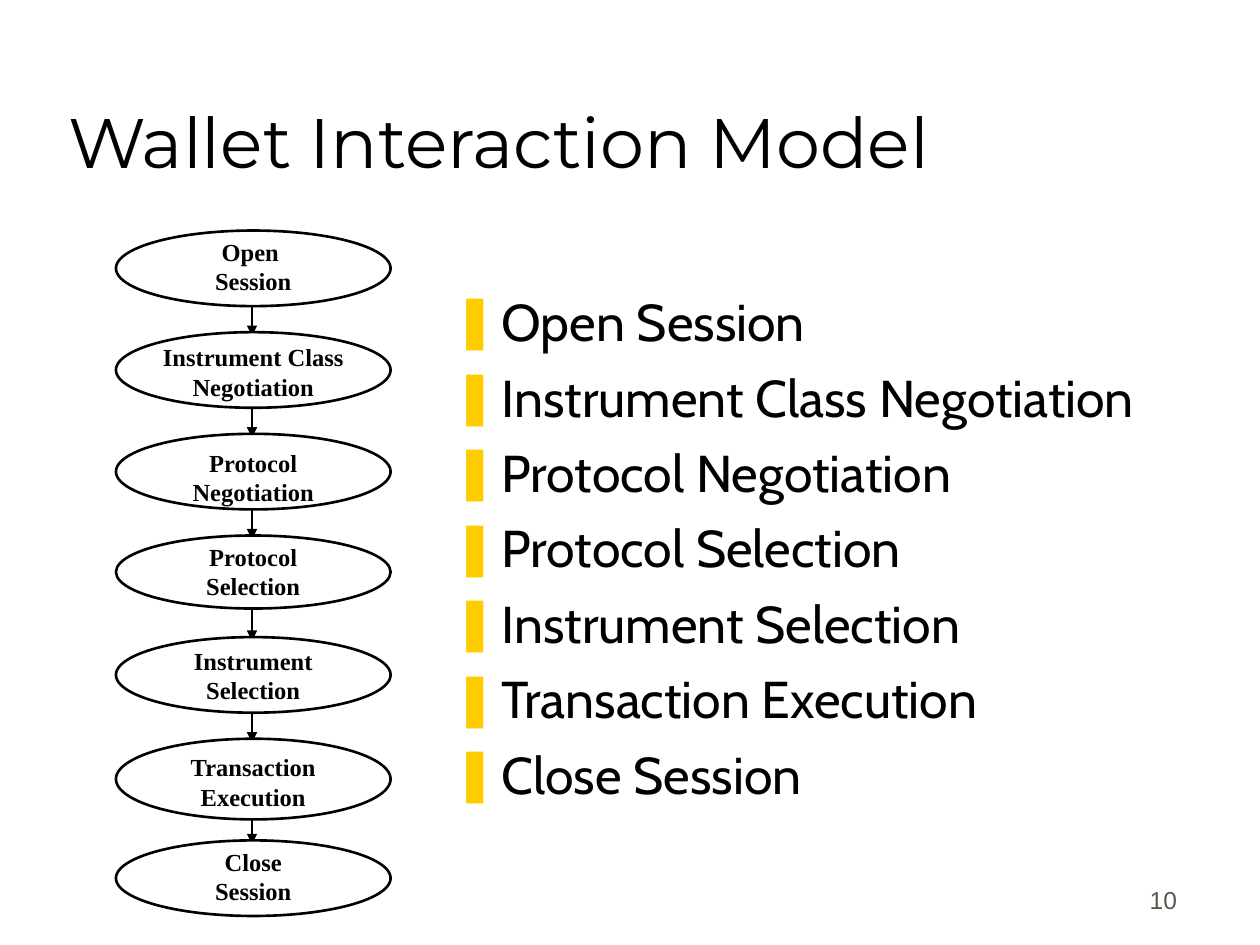
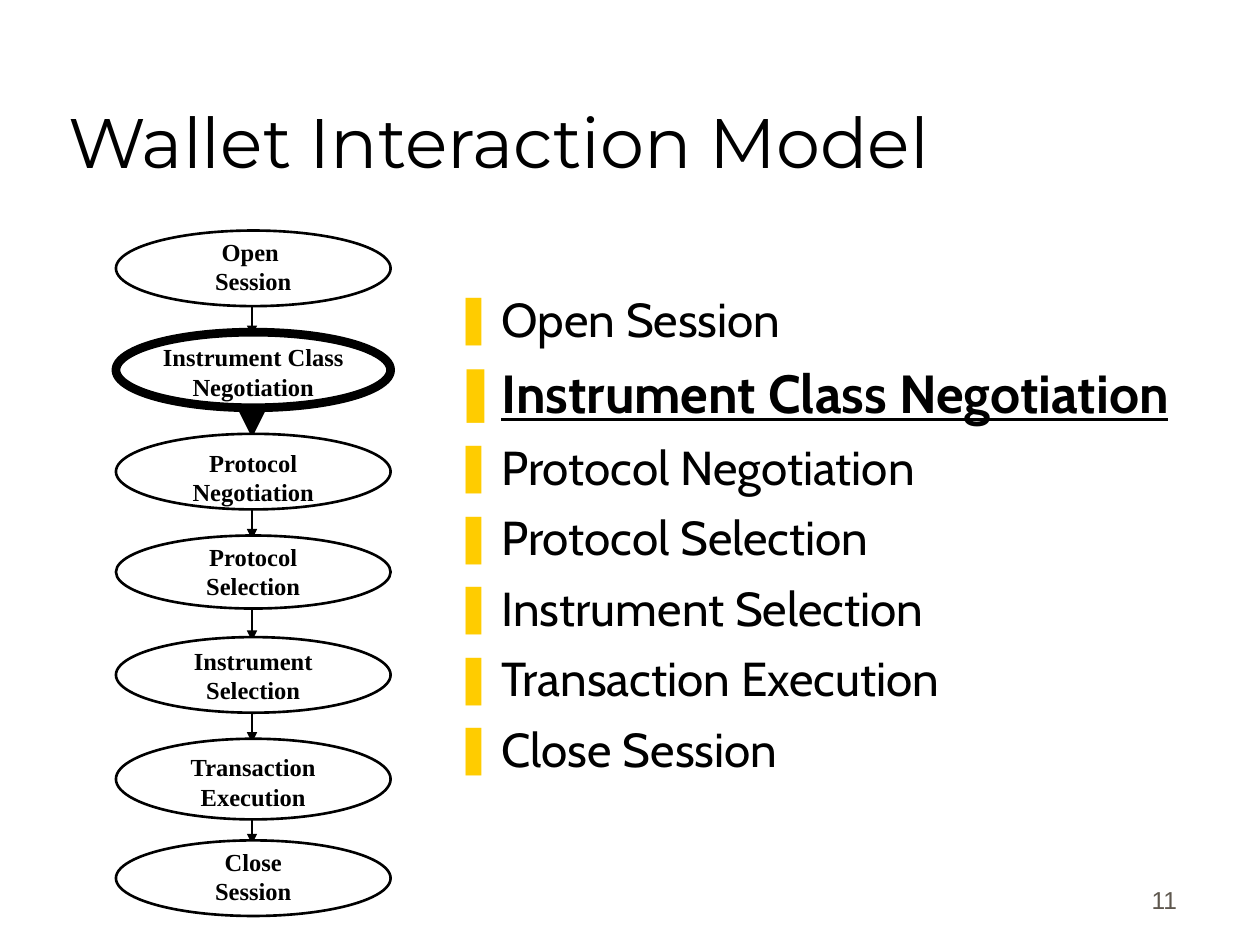
import pptx
import pptx.dml.color
import pptx.enum.shapes
import pptx.enum.text
import pptx.oxml
import pptx.oxml.ns
import pptx.util
from pptx.util import Inches

# Shared style
INK = "000000"
PAPER = "FFFFFF"
ACCENT = "FFCC00"
MUTED = "5E574E"
TITLE_FONT, BODY_FONT = "Montserrat", "Cabin"
LABEL_FONT, NUMBER_FONT = "Times New Roman", "Arial"
ALIGN = pptx.enum.text.PP_ALIGN
ANCHOR = pptx.enum.text.MSO_ANCHOR

# Regions: left, top, width, height in inches
TITLE_BOX = (0.44, 0.25, 8.5, 1.25)
LIST_BOX = (3.5, 2.25, 6.5, 4.56)
FLOW_BOX = (0.92, 1.83, 2.18, 5.44)
NUMBER_BOX = (7.36, 6.81, 2.08, 0.5)

# Two label lines, oval height, drop of the label below the oval's top
STEPS = [
    ("Open ", "Session", 0.6, 0),
    ("Instrument Class", "Negotiation", 0.6, 0.03),
    ("Protocol", "Negotiation", 0.6, 0.06),
    ("Protocol", "Selection", 0.58, 0),
    ("Instrument", "Selection", 0.6, 0.02),
    ("Transaction", "Execution", 0.64, 0.06),
    ("Close", "Session", 0.6, 0),
]
LABEL_HEIGHT = 0.57
ARROW_OVERLAP = 0.03


def colour(hex_string):
    return pptx.dml.color.RGBColor.from_string(hex_string)


def inches(box):
    return [Inches(length) for length in box]


def place(placeholder, box):
    placeholder.left, placeholder.top, placeholder.width, placeholder.height = inches(box)


def style_paragraph(paragraph, font, size, ink=INK, align=ALIGN.LEFT, bold=False, underline=False):
    paragraph.alignment = align
    for run in paragraph.runs:
        run.font.name = font
        run.font.size = pptx.util.Pt(size)
        run.font.color.rgb = colour(ink)
        run.font.bold = bold
        run.font.underline = underline


def add_text(slide, box, text, anchor=ANCHOR.TOP, **style):
    frame = slide.shapes.add_textbox(*inches(box)).text_frame
    frame.word_wrap = True
    frame.vertical_anchor = anchor
    frame.text = text
    for paragraph in frame.paragraphs:
        style_paragraph(paragraph, **style)


def add_xml(parent, tag, **attributes):
    child = pptx.oxml.parse_xml(f"<{tag} {pptx.oxml.ns.nsdecls('a')}/>")
    for name, value in attributes.items():
        child.set(name, value)
    parent.append(child)
    return child


def set_bullet(paragraph):
    properties = paragraph._p.get_or_add_pPr()
    indent = Inches(0.38)
    properties.set("marL", str(indent))
    properties.set("indent", str(-indent))
    add_xml(add_xml(properties, "a:buClr"), "a:srgbClr", val=ACCENT)
    add_xml(properties, "a:buChar", char="❚")


# Title
def add_title(slide, box, text):
    title = slide.shapes.title
    place(title, box)
    frame = title.text_frame
    frame.text = text
    frame.vertical_anchor = ANCHOR.BOTTOM
    frame.auto_size = pptx.enum.text.MSO_AUTO_SIZE.NONE
    style_paragraph(frame.paragraphs[0], TITLE_FONT, 40)


# List of the steps, with the current one emphasised
def add_step_list(slide, box, size, current, current_size):
    steps = slide.placeholders[1]
    place(steps, box)
    frame = steps.text_frame
    frame.auto_size = pptx.enum.text.MSO_AUTO_SIZE.NONE
    frame.text = "\n".join(f"{first.strip()} {second}" for first, second, *_ in STEPS)
    for index, paragraph in enumerate(frame.paragraphs):
        is_current = index == current
        paragraph.space_before = pptx.util.Pt(7.6 if index else 0)
        set_bullet(paragraph)
        style_paragraph(paragraph, BODY_FONT, current_size if is_current else size,
                        bold=is_current, underline=is_current)


# Flow of ovals and arrows
def add_oval(slide, box, line_width):
    oval = slide.shapes.add_shape(pptx.enum.shapes.MSO_SHAPE.OVAL, *inches(box))
    oval.shadow.inherit = False
    oval.fill.solid()
    oval.fill.fore_color.rgb = colour(PAPER)
    oval.line.color.rgb = colour(INK)
    oval.line.width = pptx.util.Pt(line_width)


def add_arrow(slide, x, start, end, line_width):
    arrow = slide.shapes.add_connector(pptx.enum.shapes.MSO_CONNECTOR.STRAIGHT,
                                       *inches((x, start, x, end)))
    arrow.line.color.rgb = colour(INK)
    arrow.line.width = pptx.util.Pt(line_width)
    add_xml(arrow.line._get_or_add_ln(), "a:tailEnd", type="triangle")
    add_xml(arrow._element.spPr, "a:effectLst")


def add_flow(slide, box, current):
    left, top, width, height = box
    pitch = (height - STEPS[-1][2]) / (len(STEPS) - 1)
    tops = [top + index * pitch for index in range(len(STEPS))]
    for index, (_, _, oval_height, _) in enumerate(STEPS):
        is_current = index == current
        add_oval(slide, (left, tops[index], width, oval_height), 5 if is_current else 1.5)
        if index + 1 < len(STEPS):
            add_arrow(slide, left + width / 2 - 0.01, tops[index] + oval_height,
                      tops[index + 1] + ARROW_OVERLAP, 5 if is_current else 1)
    for oval_top, (first, second, _, drop) in zip(tops, STEPS):
        add_text(slide, (left, oval_top + drop, width, LABEL_HEIGHT), f"{first}\n{second}",
                 font=LABEL_FONT, size=14, align=ALIGN.CENTER, bold=True)


# Slide number
def add_number(slide, box, number):
    add_text(slide, box, str(number), anchor=ANCHOR.BOTTOM,
             font=NUMBER_FONT, size=14, ink=MUTED, align=ALIGN.RIGHT)


def add_model_slide(deck, number, size, current=None, current_size=None):
    slide = deck.slides.add_slide(deck.slide_layouts[1])
    add_number(slide, NUMBER_BOX, number)
    add_title(slide, TITLE_BOX, "Wallet Interaction Model")
    add_step_list(slide, LIST_BOX, size, current, current_size)
    add_flow(slide, FLOW_BOX, current)


def main():
    deck = pptx.Presentation()
    deck.slide_width, deck.slide_height = Inches(10), Inches(7.5)
    add_model_slide(deck, 10, size=29.6)
    add_model_slide(deck, 11, size=27.2, current=1, current_size=30.6)
    deck.save("out.pptx")


if __name__ == "__main__":
    main()
